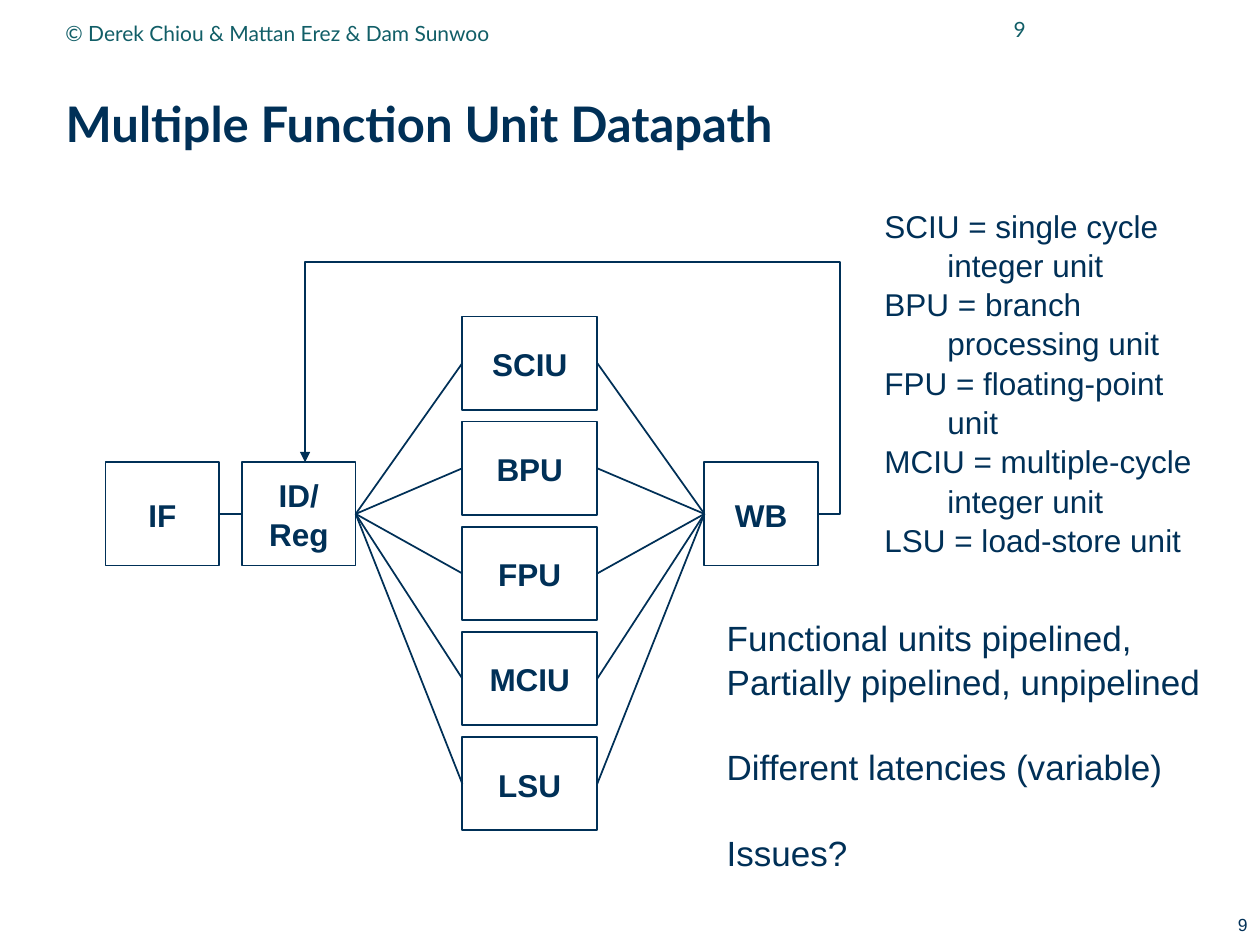
from lxml import etree
from pptx import Presentation
from pptx.dml.color import RGBColor
from pptx.enum.shapes import MSO_CONNECTOR, MSO_SHAPE
from pptx.enum.text import MSO_ANCHOR, PP_ALIGN
from pptx.oxml.ns import qn
from pptx.util import Cm, Pt

RECT = MSO_SHAPE.RECTANGLE
LINE = MSO_CONNECTOR.STRAIGHT
TOP, MIDDLE = MSO_ANCHOR.TOP, MSO_ANCHOR.MIDDLE
LEFT, CENTER, RIGHT = PP_ALIGN.LEFT, PP_ALIGN.CENTER, PP_ALIGN.RIGHT
LEFT_SIDE, RIGHT_SIDE = 1, 3

NAVY, TEAL = "003057", "115E67"


def color(code):
    return RGBColor.from_string(code)


class Deck:
    """Holds the style and the current slide."""
    sans, head = "Arial", "Lato"
    width = Pt(1)

    def __init__(self, slide):
        self.slide = slide
        self.shapes = slide.shapes

    def letter(self, shape, text, size, font=sans, ink=NAVY, bold=False,
               align=LEFT, anchor=TOP, lead=1.04):
        """Set and format the text of a shape."""
        frame = shape.text_frame
        frame.text = text
        frame.word_wrap = True
        frame.vertical_anchor = anchor
        for para in frame.paragraphs:
            para.alignment = align
            para.line_spacing = lead
            for run in para.runs:
                run.font.name = font
                run.font.size = Pt(size)
                run.font.bold = bold
                run.font.color.rgb = color(ink)
        return frame

    def stroke(self, item):
        item.line.color.rgb = color(NAVY)
        item.line.width = self.width

    def title(self, text, x, y, w, h):
        shape = self.shapes.title
        shape.left, shape.top, shape.width, shape.height = map(Cm, (x, y, w, h))
        self.letter(shape, text, 28, self.head, bold=True, anchor=MIDDLE, lead=0.99)

    def label(self, text, x, y, w, h, size, **style):
        box = self.shapes.add_textbox(Cm(x), Cm(y), Cm(w), Cm(h))
        return self.letter(box, text, size, **style)

    def block(self, text, x, y, w, h):
        box = self.shapes.add_shape(RECT, Cm(x), Cm(y), Cm(w), Cm(h))
        box.shadow.inherit = False
        box.fill.background()
        self.stroke(box)
        self.letter(box, text, 18, bold=True, align=CENTER, anchor=MIDDLE)
        return box

    def link(self, start, end):
        """Join the right side of start to the left side of end."""
        wire = self.shapes.add_connector(LINE, 0, 0, 0, 0)
        wire.begin_connect(start, RIGHT_SIDE)
        wire.end_connect(end, LEFT_SIDE)
        self.stroke(wire)
        etree.SubElement(wire._element.spPr, qn("a:effectLst"))

    def route(self, points):
        """Draw an open bent line with an arrowhead at its end."""
        spots = [(Cm(x), Cm(y)) for x, y in points]
        pen = self.shapes.build_freeform(*spots[0])
        pen.add_line_segments(spots[1:], close=False)
        bend = pen.convert_to_shape()
        bend.shadow.inherit = False
        bend.fill.background()
        self.stroke(bend)
        outline = bend._element.spPr.find(qn("a:ln"))
        etree.SubElement(outline, qn("a:tailEnd"), type="triangle")


def main():
    prs = Presentation()
    prs.slide_width, prs.slide_height = Cm(25.4), Cm(19.05)
    deck = Deck(prs.slides.add_slide(prs.slide_layouts[5]))

    deck.title("Multiple Function Unit Datapath", 1.07, 1.27, 23.9, 2.49)
    small = dict(size=12, font=deck.head, ink=TEAL, anchor=MIDDLE, lead=1)
    deck.label("9", 18.62, -0.05, 2.31, 1.27, align=RIGHT, **small)
    deck.label("© Derek Chiou & Mattan Erez & Dam Sunwoo",
               1.07, 0.08, 14.4, 1.17, **small)
    deck.label("9", 19.48, 18.29, 5.92, 0.69, 10, align=RIGHT)

    stage_y, stage_w, stage_h = 9.32, 2.29, 2.08
    fetch, decode, back = [
        deck.block(name, x, stage_y, stage_w, stage_h)
        for name, x in (("IF", 2.13), ("ID/\nReg", 4.88), ("WB", 14.2))]
    deck.link(fetch, decode)

    for row, name in enumerate(("SCIU", "BPU", "FPU", "MCIU", "LSU")):
        unit = deck.block(name, 9.32, 6.38 + row * 2.12, 2.72, 1.88)
        deck.link(decode, unit)
        deck.link(unit, back)

    mid = stage_y + stage_h / 2
    deck.route([(16.49, mid), (16.94, mid), (16.94, 5.28),
                (6.15, 5.28), (6.15, stage_y)])

    legend = ("SCIU = single cycle", "\tinteger unit",
              "BPU = branch", "\tprocessing unit",
              "FPU = floating-point", "\tunit",
              "MCIU = multiple-cycle", "\tinteger unit",
              "LSU = load-store unit")
    deck.label("\n".join(legend), 17.58, 4.01, 7.6, 7.16, 18)

    notes = ("Functional units pipelined,", "Partially pipelined, unpipelined",
             "Different latencies (variable)", "Issues?")
    frame = deck.label("\n".join(notes), 14.4, 12.27, 10.4, 5.33, 20)
    for para in frame.paragraphs[2:]:
        para.space_before = Pt(24)

    prs.save("out.pptx")


if __name__ == "__main__":
    main()
